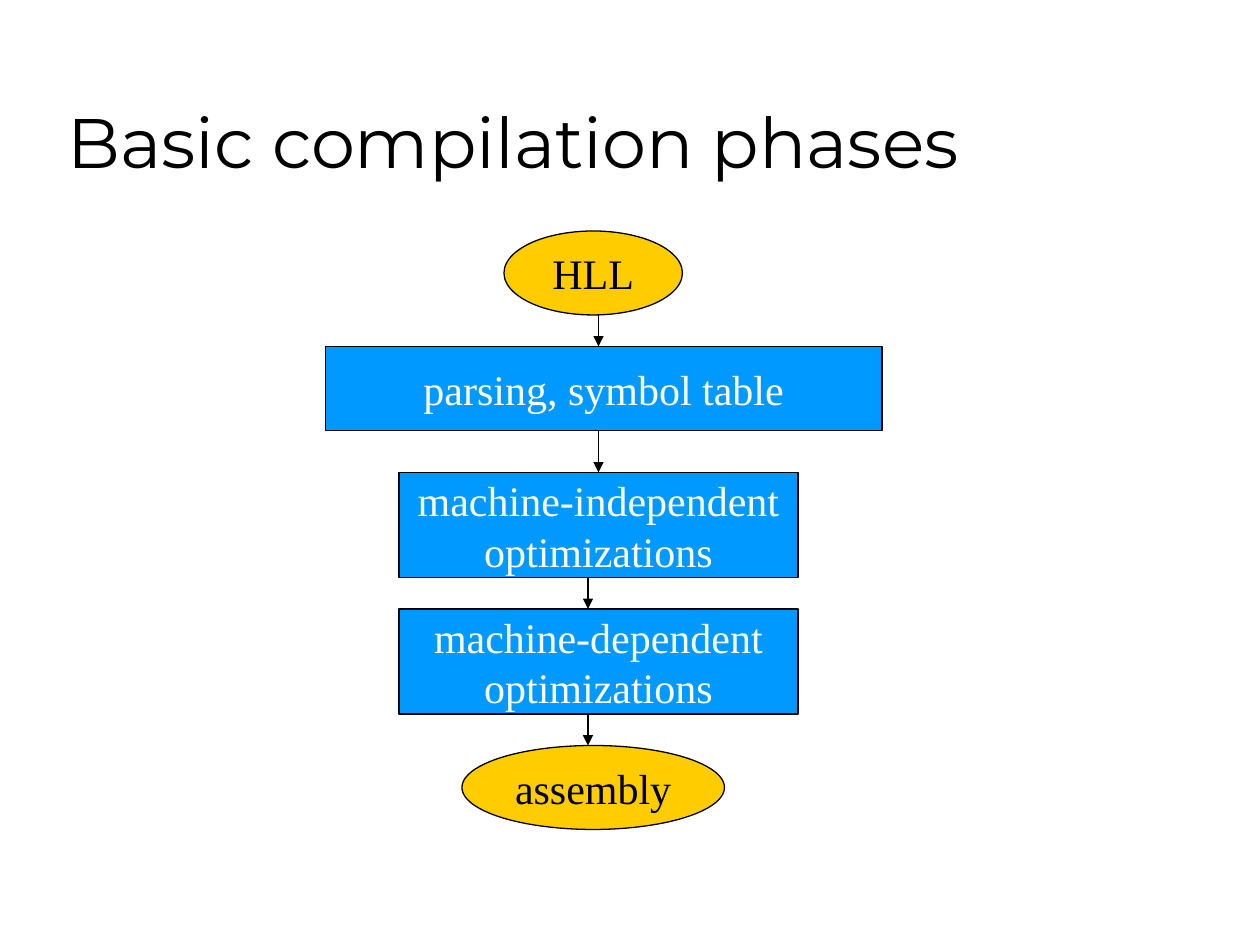
from dataclasses import dataclass

from lxml.etree import SubElement
from pptx import Presentation
from pptx.dml.color import RGBColor as RGB
from pptx.enum.shapes import MSO_CONNECTOR as CONNECTOR, MSO_SHAPE as SHAPE
from pptx.enum.text import MSO_ANCHOR as ANCHOR, MSO_AUTO_SIZE as AUTO_SIZE, PP_ALIGN as ALIGN
from pptx.oxml.ns import qn
from pptx.util import Pt

PX = 9525  # EMU per pixel, 96 pixels to the inch


@dataclass(frozen=True)
class Theme:
    ink = RGB(0x00, 0x00, 0x00)
    paper = RGB(0xFF, 0xFF, 0xFF)
    code_fill = RGB(0xFF, 0xCC, 0x00)
    phase_fill = RGB(0x00, 0x99, 0xFF)
    title_font = "Montserrat"
    body_font = "Times New Roman"
    title_size = Pt(40)
    body_size = Pt(24)
    line_width = Pt(0.75)


def style_paragraph(para, name, size, color, align):
    para.alignment = align
    para.font.name = name
    para.font.size = size
    para.font.color.rgb = color


deck = Presentation()
deck.slide_width, deck.slide_height = 960 * PX, 720 * PX
page = deck.slides.add_slide(deck.slide_layouts[5])

title = page.shapes.title
title.left, title.top, title.width, title.height = 42 * PX, 24 * PX, 816 * PX, 120 * PX
title.text_frame.text = "Basic compilation phases"
title.text_frame.vertical_anchor = ANCHOR.BOTTOM
title.text_frame.auto_size = AUTO_SIZE.NONE
style_paragraph(title.text_frame.paragraphs[0], Theme.title_font, Theme.title_size,
                Theme.ink, ALIGN.LEFT)

# Shape, fill, text colour
code = (SHAPE.OVAL, Theme.code_fill, Theme.ink)
phase = (SHAPE.RECTANGLE, Theme.phase_fill, Theme.paper)

# Text, style, left, top, width, height
steps = [
    ("HLL", code, 384, 176, 136, 64),
    ("parsing, symbol table", phase, 248, 264, 424, 64),
    ("machine-independent\noptimizations", phase, 304, 360, 304, 80),
    ("machine-dependent\noptimizations", phase, 304, 464, 304, 80),
    ("assembly", code, 352, 568, 200, 64),
]
boxes = []
for text, (kind, fill, text_color), left, top, width, height in steps:
    box = page.shapes.add_shape(kind, left * PX, top * PX, width * PX, height * PX)
    box.shadow.inherit = False
    box.fill.solid()
    box.fill.fore_color.rgb = fill
    box.line.color.rgb = Theme.ink
    box.line.width = Theme.line_width
    frame = box.text_frame
    frame.word_wrap = False
    frame.vertical_anchor = ANCHOR.MIDDLE
    frame.text = text
    for para in frame.paragraphs:
        style_paragraph(para, Theme.body_font, Theme.body_size, text_color, ALIGN.CENTER)
    boxes.append(box)

# Each arrow runs straight down from one step to the next
for upper, lower, x in zip(boxes, boxes[1:], [456, 456, 448, 448]):
    x *= PX
    arrow = page.shapes.add_connector(CONNECTOR.STRAIGHT, x, upper.top + upper.height,
                                      x, lower.top)
    if lower.auto_shape_type == SHAPE.RECTANGLE and x == lower.left + lower.width // 2:
        arrow.end_connect(lower, 0)
    arrow.line.color.rgb = Theme.ink
    arrow.line.width = Theme.line_width
    SubElement(arrow.line._get_or_add_ln(), qn("a:tailEnd"), type="triangle")
    SubElement(arrow._element.spPr, qn("a:effectLst"))

deck.save("out.pptx")
